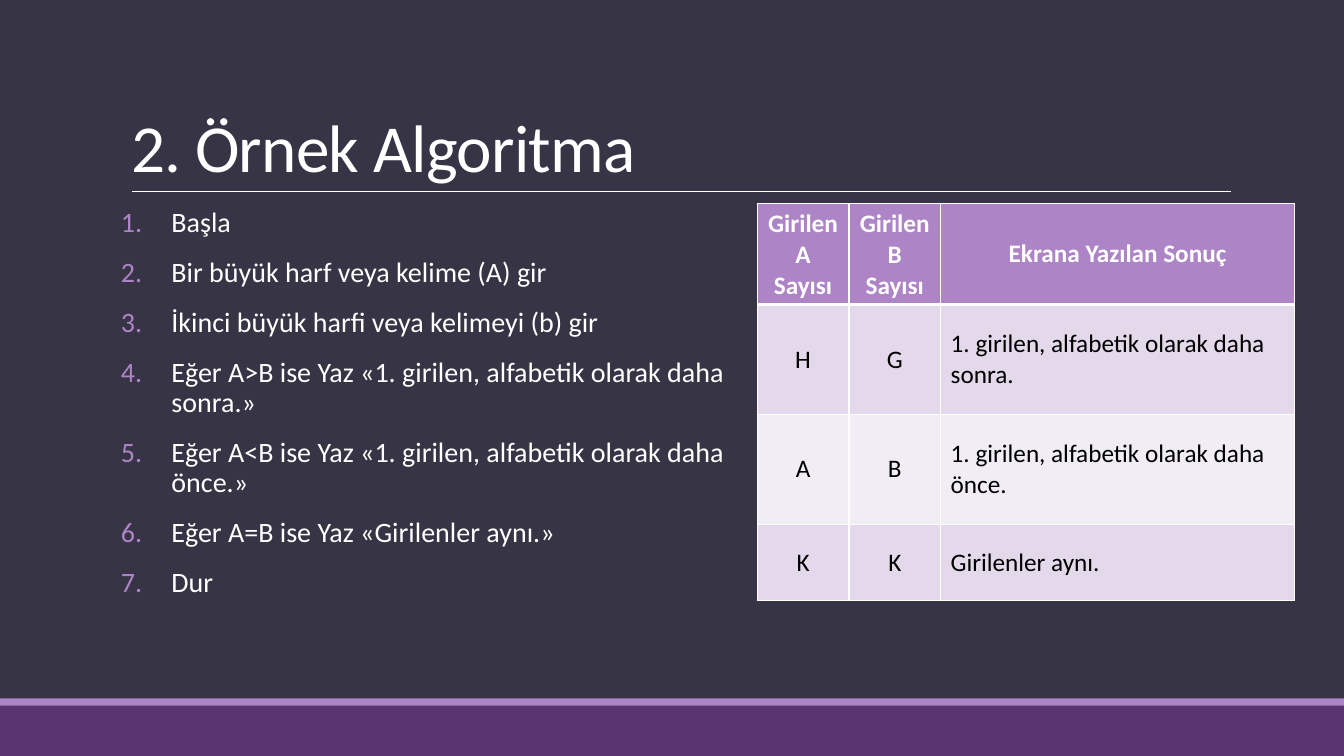
from dataclasses import dataclass

from lxml.etree import SubElement
from pptx import Presentation
from pptx.dml.color import RGBColor
from pptx.enum.shapes import MSO_CONNECTOR as Connector, MSO_SHAPE as Shape
from pptx.enum.text import MSO_ANCHOR as Anchor, MSO_AUTO_SIZE as AutoSize, PP_ALIGN as Align
from pptx.oxml.ns import qn
from pptx.util import Inches, Pt


@dataclass(frozen=True)
class Theme:
    font: str = "Calibri"
    background: str = "373545"
    footer: str = "5A3471"
    accent: str = "AD84C6"
    light: str = "FFFFFF"
    dark: str = "000000"
    bands: tuple = ("E3D9EA", "F1EDF5")
    title_size: float = 48
    list_size: float = 20
    table_size: float = 18


STEPS = [
    "Başla",
    "Bir büyük harf veya kelime (A) gir",
    "İkinci büyük harfi veya kelimeyi (b) gir",
    "Eğer A>B ise Yaz «1. girilen, alfabetik olarak daha sonra.»",
    "Eğer A<B ise Yaz «1. girilen, alfabetik olarak daha önce.»",
    "Eğer A=B ise Yaz «Girilenler aynı.»",
    "Dur",
]
RESULTS = [
    ["Girilen A Sayısı", "Girilen B Sayısı", "Ekrana Yazılan Sonuç"],
    ["H", "G", "1. girilen, alfabetik olarak daha sonra."],
    ["A", "B", "1. girilen, alfabetik olarak daha önce."],
    ["K", "K", "Girilenler aynı."],
]
COLUMN_WIDTHS = [0.91, 0.91, 3.51]
ROW_HEIGHTS = [1, 1.09, 1.09, 0.76]


class SlideBuilder:
    def __init__(self, deck, theme):
        self.theme = theme
        self.page = deck.slides.add_slide(deck.slide_layouts[5])
        fill = self.page.background.fill
        fill.solid()
        fill.fore_color.rgb = RGBColor.from_string(theme.background)

    def style_text(self, para, size, color, bold=False):
        for span in para.runs:
            span.font.name = self.theme.font
            span.font.size = Pt(size)
            span.font.bold = bold
            span.font.color.rgb = RGBColor.from_string(color)

    def title(self, text, left, top, width, height):
        box = self.page.shapes.title
        box.left, box.top, box.width, box.height = map(Inches, (left, top, width, height))
        frame = box.text_frame
        frame.text = text
        frame.word_wrap = True
        frame.auto_size = AutoSize.NONE
        frame.vertical_anchor = Anchor.BOTTOM
        para = frame.paragraphs[0]
        para.alignment = Align.LEFT
        para.line_spacing = 0.85
        self.style_text(para, self.theme.title_size, self.theme.light)
        para.runs[0].font._element.set("spc", "-50")

    def bar(self, color, left, top, width, height):
        box = self.page.shapes.add_shape(Shape.RECTANGLE, *map(Inches, (left, top, width, height)))
        box.shadow.inherit = False
        box.fill.solid()
        box.fill.fore_color.rgb = RGBColor.from_string(color)
        box.line.fill.background()

    def rule(self, left, right, y):
        line = self.page.shapes.add_connector(
            Connector.STRAIGHT, *map(Inches, (left, y, right, y)))
        line.line.color.rgb = RGBColor.from_string(self.theme.light)
        line.line.width = Pt(0.5)
        SubElement(line._element.spPr, qn("a:effectLst"))

    def numbered_list(self, items, left, top, width, height):
        box = self.page.shapes.add_textbox(*map(Inches, (left, top, width, height)))
        frame = box.text_frame
        frame.word_wrap = True
        frame.margin_left = frame.margin_right = 0
        frame.text = "\n".join(items)
        for para in frame.paragraphs:
            para.line_spacing = 0.9
            para.space_before, para.space_after = Pt(12), Pt(2)
            self.style_text(para, self.theme.list_size, self.theme.light)
            self.number(para)

    def number(self, para):
        """Give the paragraph an automatic number with a hanging indent."""
        props = para._p.get_or_add_pPr()
        props.set("marL", str(Inches(0.5)))
        props.set("indent", str(Inches(-0.5)))
        color = SubElement(props, qn("a:buClr"))
        SubElement(color, qn("a:srgbClr"), val=self.theme.accent)
        SubElement(props, qn("a:buFont"), typeface="+mj-lt")
        SubElement(props, qn("a:buAutoNum"), type="arabicPeriod")

    def table(self, rows, widths, heights, left, top):
        frame = self.page.shapes.add_table(
            len(rows), len(widths), *map(Inches, (left, top, sum(widths), sum(heights))))
        table = frame.table
        for column, width in zip(table.columns, widths):
            column.width = Inches(width)
        for row, height in zip(table.rows, heights):
            row.height = Inches(height)
        for r, texts in enumerate(rows):
            for c, text in enumerate(texts):
                centered = r == 0 or c < len(widths) - 1
                self.cell(table.cell(r, c), text, r, centered)

    def cell(self, cell, text, row, centered):
        theme = self.theme
        header = row == 0
        self.borders(cell, top=3 if row == 1 else 1, bottom=3 if header else 1)
        cell.fill.solid()
        fill = theme.accent if header else theme.bands[(row - 1) % 2]
        cell.fill.fore_color.rgb = RGBColor.from_string(fill)
        cell.vertical_anchor = Anchor.MIDDLE
        cell.text = text
        para = cell.text_frame.paragraphs[0]
        para.alignment = Align.CENTER if centered else Align.LEFT
        self.style_text(para, theme.table_size, theme.light if header else theme.dark, header)

    def borders(self, cell, top, bottom):
        props = cell._tc.get_or_add_tcPr()
        for side, width in {"L": 1, "R": 1, "T": top, "B": bottom}.items():
            line = SubElement(props, qn(f"a:ln{side}"), w=str(Pt(width)))
            fill = SubElement(line, qn("a:solidFill"))
            SubElement(fill, qn("a:srgbClr"), val=self.theme.light)


def main():
    deck = Presentation()
    deck.slide_width, deck.slide_height = Inches(13.33), Inches(7.5)
    theme = Theme()
    slide = SlideBuilder(deck, theme)
    slide.bar(theme.footer, 0, 7, 13.33, 0.5)
    slide.bar(theme.accent, 0, 6.93, 13.33, 0.07)
    slide.rule(1.31, 12.21, 1.9)
    slide.title("2. Örnek Algoritma", 1.2, 0.31, 11, 1.59)
    slide.numbered_list(STEPS, 1.2, 2.02, 6.31, 4.4)
    slide.table(RESULTS, COLUMN_WIDTHS, ROW_HEIGHTS, 7.51, 2.02)
    deck.save("out.pptx")


if __name__ == "__main__":
    main()
